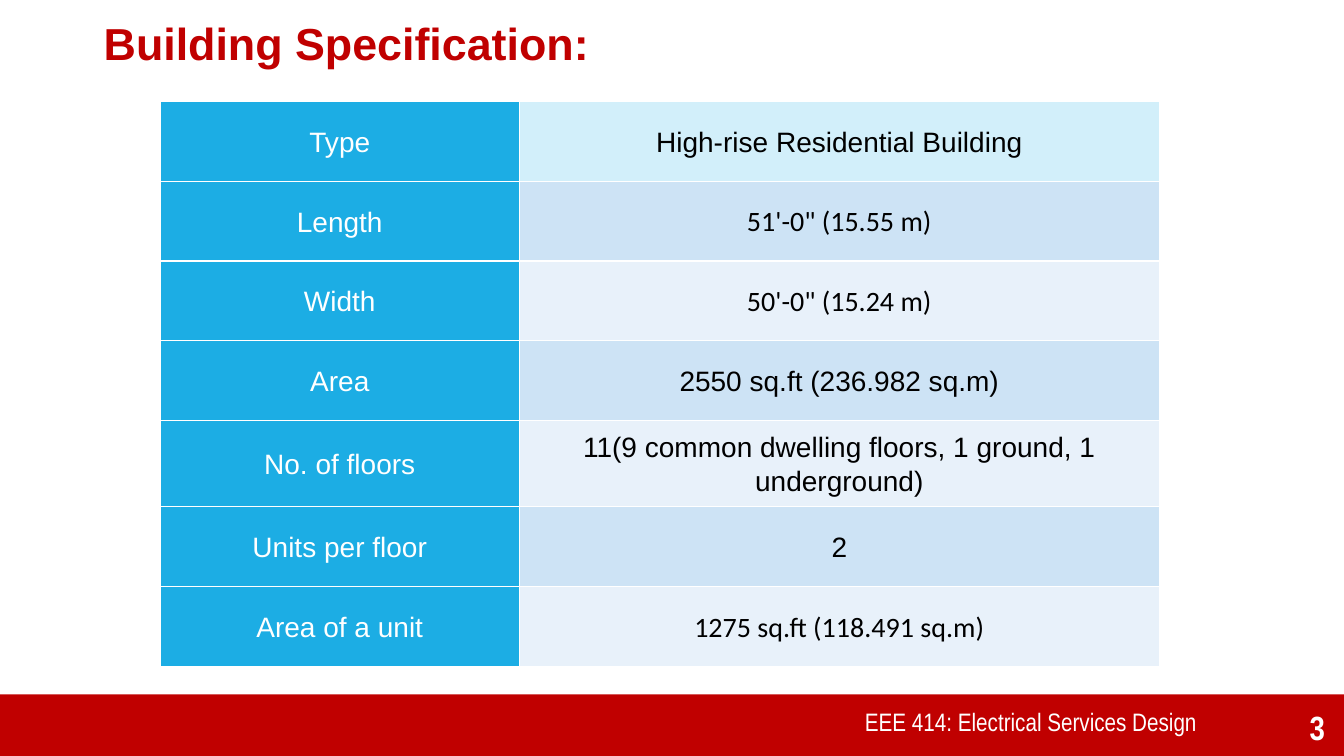
from dataclasses import dataclass

from lxml import etree
from pptx import Presentation
from pptx import util as u
from pptx.dml.color import RGBColor
from pptx.enum import shapes, text
from pptx.oxml import ns

RED = RGBColor(0xC0, 0x00, 0x00)
WHITE = RGBColor(0xFF, 0xFF, 0xFF)
BLACK = RGBColor(0x00, 0x00, 0x00)
BLUE = RGBColor(0x1C, 0xAD, 0xE4)
AQUA = RGBColor(0xD2, 0xEF, 0xFA)
BANDS = (RGBColor(0xE8, 0xF1, 0xFA), RGBColor(0xCD, 0xE3, 0xF5))


@dataclass(frozen=True)
class Font:
    name: str
    size: int
    color: RGBColor
    bold: bool = False


@dataclass(frozen=True)
class Label:
    words: str
    box: tuple[float, float, float, float]
    font: Font
    align: text.PP_ALIGN = text.PP_ALIGN.LEFT
    anchor: text.MSO_ANCHOR = text.MSO_ANCHOR.TOP
    lines: float = 1.0


@dataclass(frozen=True)
class Row:
    name: str
    value: str
    face: str = "Arial"
    height: float = 0.79


LABELS = (
    Label("EEE 414: Electrical Services Design", (8.48, 6.96, 4.02, 0.49),
          Font("Arial Narrow", 18, WHITE)),
    Label("3", (12.5, 7, 0.74, 0.46), Font("Arial Narrow", 24, WHITE, True),
          text.PP_ALIGN.RIGHT, text.MSO_ANCHOR.BOTTOM),
    Label("Building Specification:", (0.93, 0.17, 8.26, 0.59),
          Font("Arial", 32, RED, True), lines=0.9),
)

ROWS = (
    Row("Type", "High-rise Residential Building"),
    Row("Length", "51'-0\" (15.55 m)", "Calibri"),
    Row("Width", "50'-0\" (15.24 m)", "Calibri"),
    Row("Area", "2550 sq.ft (236.982 sq.m)"),
    Row("No. of floors", "11(9 common dwelling floors, 1 ground, 1 underground)", height=0.86),
    Row("Units per floor", "2"),
    Row("Area of a unit", "1275 sq.ft (118.491 sq.m)", "Calibri"),
)
WIDTHS = (3.56, 6.35)


def write(frame, words: str, font: Font, align: text.PP_ALIGN, lines: float) -> None:
    para = frame.paragraphs[0]
    para.alignment = align
    para.line_spacing = lines
    run = para.add_run()
    run.text = words
    run.font.name = font.name
    run.font.size = u.Pt(font.size)
    run.font.bold = font.bold
    run.font.color.rgb = font.color


def add_label(slide, label: Label) -> None:
    frame = slide.shapes.add_textbox(*map(u.Inches, label.box)).text_frame
    frame.word_wrap = True
    frame.vertical_anchor = label.anchor
    write(frame, label.words, label.font, label.align, label.lines)


def add_edges(cell) -> None:
    props = cell._tc.get_or_add_tcPr()
    for spot, side in enumerate(("lnL", "lnR", "lnT", "lnB")):
        line = etree.Element(ns.qn(f"a:{side}"), w=str(u.Pt(1)))
        fill = etree.SubElement(line, ns.qn("a:solidFill"))
        etree.SubElement(fill, ns.qn("a:srgbClr"), val=str(WHITE))
        props.insert(spot, line)


def fill_cell(cell, words: str, font: Font, color: RGBColor) -> None:
    cell.fill.solid()
    cell.fill.fore_color.rgb = color
    cell.vertical_anchor = text.MSO_ANCHOR.MIDDLE
    cell.margin_left = cell.margin_right = u.Inches(0.07)
    cell.margin_top = cell.margin_bottom = 0
    write(cell.text_frame, words, font, text.PP_ALIGN.CENTER, 1.07)
    add_edges(cell)


def add_grid(slide) -> None:
    size = (sum(WIDTHS), sum(row.height for row in ROWS))
    grid = slide.shapes.add_table(
        len(ROWS), len(WIDTHS), u.Inches(1.59), u.Inches(1.01), *map(u.Inches, size)).table
    grid.first_row = grid.horz_banding = False
    for col, width in zip(grid.columns, WIDTHS):
        col.width = u.Inches(width)
    for i, row in enumerate(ROWS):
        grid.rows[i].height = u.Inches(row.height)
        tint = BANDS[i % 2] if i else AQUA
        fill_cell(grid.cell(i, 0), row.name, Font("Arial", 20, WHITE), BLUE)
        fill_cell(grid.cell(i, 1), row.value, Font(row.face, 20, BLACK), tint)


def add_band(slide) -> None:
    band = slide.shapes.add_shape(
        shapes.MSO_SHAPE.RECTANGLE, 0, u.Inches(6.89), u.Inches(13.33), u.Inches(0.63))
    band.shadow.inherit = False
    band.fill.solid()
    band.fill.fore_color.rgb = RED
    band.line.fill.background()


def main() -> None:
    deck = Presentation()
    deck.slide_width = u.Inches(13.33)
    deck.slide_height = u.Inches(7.5)
    slide = deck.slides.add_slide(deck.slide_layouts[6])
    add_band(slide)
    add_grid(slide)
    for label in LABELS:
        add_label(slide, label)
    deck.save("out.pptx")


if __name__ == "__main__":
    main()
